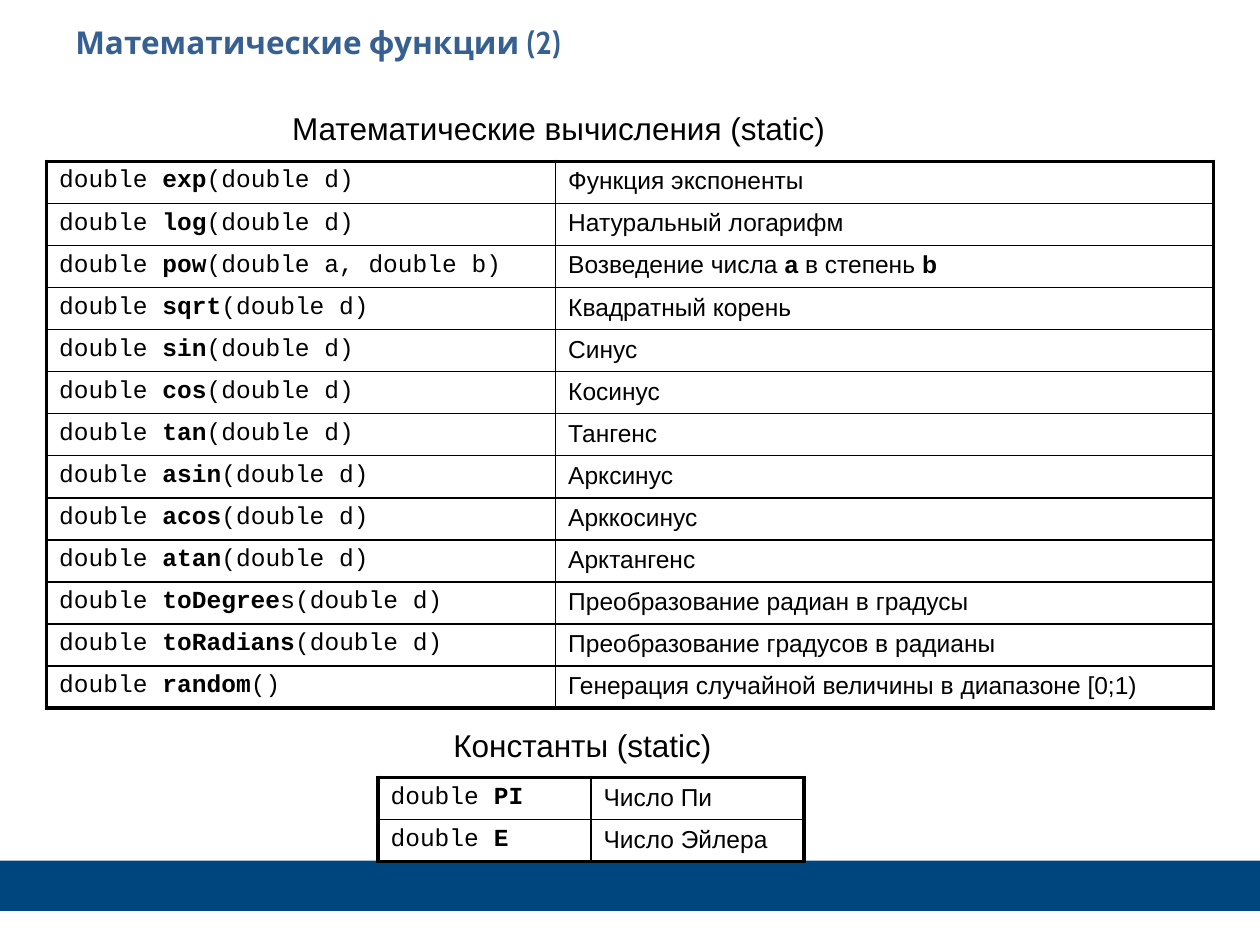
"""Build a slide listing static math functions and constants in two tables."""
from lxml.etree import SubElement
from pptx import Presentation
from pptx.dml.color import RGBColor
from pptx.enum.shapes import MSO_SHAPE
from pptx.oxml.ns import qn
from pptx.util import Inches, Pt

BLACK = RGBColor(0x00, 0x00, 0x00)
TITLE_BLUE = RGBColor(0x37, 0x60, 0x92)
BAND_BLUE = RGBColor(0x00, 0x46, 0x7E)

WIDTH, HEIGHT = Inches(10), Inches(7.5)
GRID_COLS, GRID_ROWS = 100, 75
OUTER, INNER = Pt(2.25), Pt(1)

FUNCTIONS = [
    ("double **exp**(double d)", "Функция экспоненты"),
    ("double **log**(double d)", "Натуральный логарифм"),
    ("double **pow**(double a, double b)", "Возведение числа **a** в степень **b**"),
    ("double **sqrt**(double d)", "Квадратный корень"),
    ("double **sin**(double d)", "Синус"),
    ("double **cos**(double d)", "Косинус"),
    ("double **tan**(double d)", "Тангенс"),
    ("double **asin**(double d)", "Арксинус"),
    ("double **acos**(double d)", "Арккосинус"),
    ("double **atan**(double d)", "Арктангенс"),
    ("double **toDegree**s(double d)", "Преобразование радиан в градусы"),
    ("double **toRadians**(double d)", "Преобразование градусов в радианы"),
    ("double **random**()", "Генерация случайной величины в диапазоне [0;1)"),
]
CONSTANTS = [
    ("double **PI**", "Число Пи"),
    ("double **E**", "Число Эйлера"),
]


def col(n):
    """Return the length of n grid columns."""
    return round(WIDTH * n / GRID_COLS)


def row(n):
    """Return the length of n grid rows."""
    return round(HEIGHT * n / GRID_ROWS)


def write(tf, text, font="Arial", size=18, color=BLACK):
    """Write text into a frame, with **marked** parts in bold."""
    p = tf.paragraphs[0]
    for i, part in enumerate(text.split("**")):
        if part:
            r = p.add_run()
            r.text = part
            r.font.name = font
            r.font.size = Pt(size)
            r.font.bold = i % 2 == 1
            r.font.color.rgb = color


def add_text(s, x, y, w, h, text, wrap=False, **fmt):
    """Add a text box placed on the grid."""
    tf = s.shapes.add_textbox(col(x), row(y), col(w), row(h)).text_frame
    tf.word_wrap = wrap
    write(tf, text, **fmt)


def add_band(s, y, h):
    """Add the full-width band at the foot of the slide."""
    sp = s.shapes.add_shape(MSO_SHAPE.RECTANGLE, 0, row(y), WIDTH, row(h))
    sp.shadow.inherit = False
    sp.fill.solid()
    sp.fill.fore_color.rgb = BAND_BLUE
    sp.line.fill.background()


def set_borders(cell, left, right, top, bottom):
    """Give a cell solid black borders of the given widths."""
    tc_pr = cell._tc.get_or_add_tcPr()
    for side, width in zip("LRTB", (left, right, top, bottom)):
        ln = SubElement(tc_pr, qn(f"a:ln{side}"), w=str(width))
        fill = SubElement(ln, qn("a:solidFill"))
        SubElement(fill, qn("a:srgbClr"), val=str(BLACK))


def add_grid_table(s, x, y, widths, row_height, entries):
    """Add a table of code and description with a heavy outer frame."""
    n_rows, n_cols = len(entries), len(widths)
    table = s.shapes.add_table(n_rows, n_cols, col(x), row(y), col(sum(widths)),
                               row(row_height * n_rows)).table
    table.first_row = table.horz_banding = False
    for j, width in enumerate(widths):
        table.columns[j].width = col(width)
    for i, entry in enumerate(entries):
        table.rows[i].height = row(row_height)
        for j, (text, font) in enumerate(zip(entry, ("Courier New", "Arial"))):
            cell = table.cell(i, j)
            write(cell.text_frame, text, font=font, size=14)
            set_borders(cell,
                        left=OUTER if j == 0 else INNER,
                        right=OUTER if j == n_cols - 1 else INNER,
                        top=OUTER if i == 0 else INNER,
                        bottom=OUTER if i == n_rows - 1 else INNER)
            cell.fill.background()


def main():
    """Build and save the slide."""
    prs = Presentation()
    prs.slide_width, prs.slide_height = WIDTH, HEIGHT
    s = prs.slides.add_slide(prs.slide_layouts[6])
    add_band(s, 68.3, 4)
    add_text(s, 5, 1.3, 90, 12.8, "**Математические функции (2)**", wrap=True,
             font="Cabin", color=TITLE_BLUE)
    add_text(s, 22.2, 8.2, 44.4, 4, "Математические вычисления (static)")
    add_grid_table(s, 3.7, 12.8, (40.4, 52.2), 3.2, FUNCTIONS)
    add_text(s, 35, 57.1, 22.6, 4, "Константы (static)")
    add_grid_table(s, 30, 61.7, (16.9, 16.9), 3.35, CONSTANTS)
    prs.save("out.pptx")


if __name__ == "__main__":
    main()
